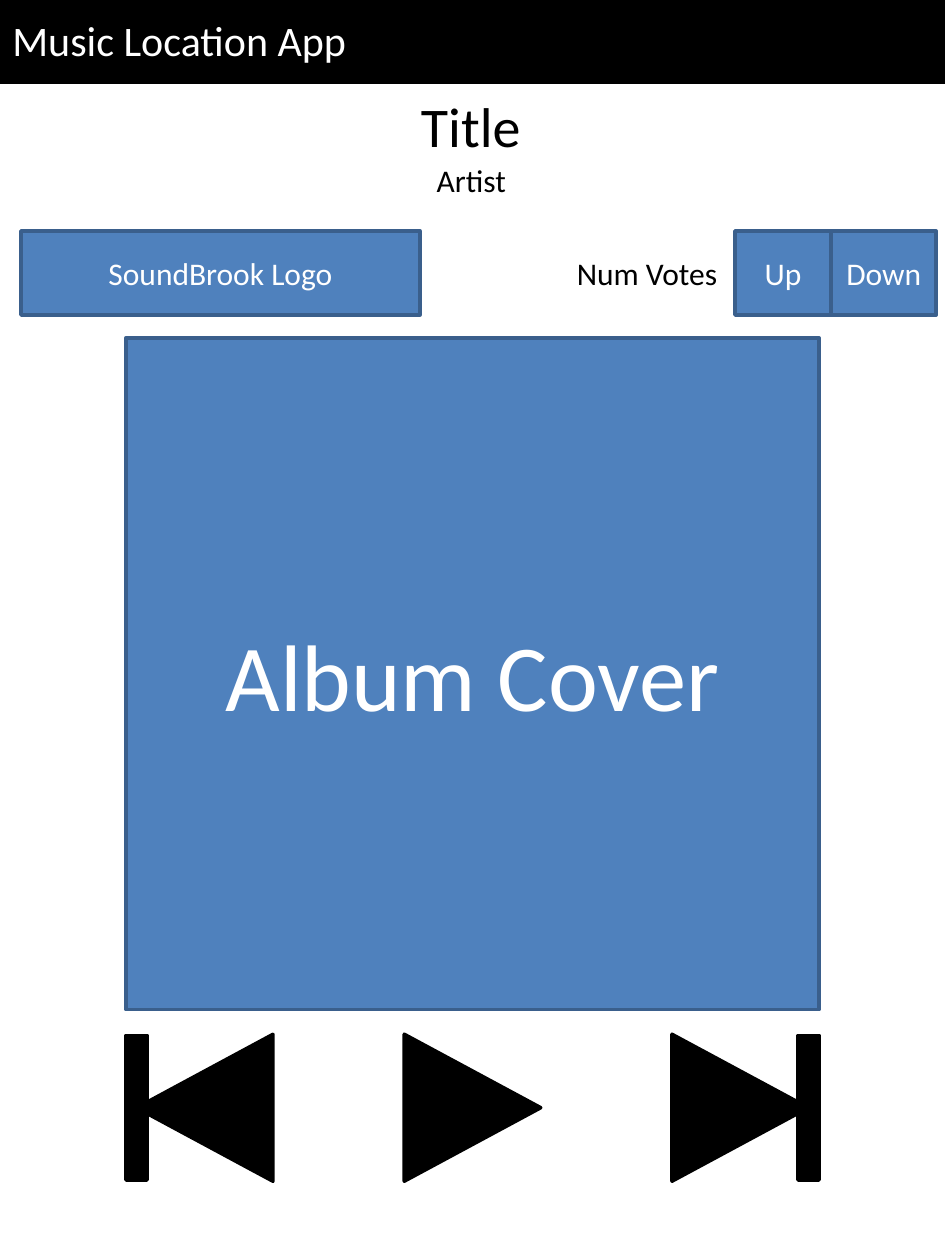
from dataclasses import dataclass

from pptx import Presentation
from pptx.dml.color import RGBColor as RGB
from pptx.enum.shapes import MSO_SHAPE as SHAPE
from pptx.enum.text import MSO_ANCHOR as ANCHOR, MSO_AUTO_SIZE as AUTO, PP_ALIGN as ALIGN
from pptx.util import Pt


@dataclass(frozen=True)
class Theme:
    font: str = "Calibri"
    black: RGB = RGB(0x00, 0x00, 0x00)
    white: RGB = RGB(0xFF, 0xFF, 0xFF)
    blue: RGB = RGB(0x4F, 0x81, 0xBD)
    edge: RGB = RGB(0x3A, 0x5F, 0x8C)
    line: float = 2
    body: float = 18
    bar: float = 24
    title: float = 32
    cover: float = 54


T = Theme()
WIDTH, HEIGHT = 540, 720


def write(tf, text, size, color, align):
    p = tf.paragraphs[0]
    p.alignment = align
    r = p.add_run()
    r.text = text
    for name, value in {"name": T.font, "size": Pt(size)}.items():
        setattr(r.font, name, value)
    r.font.color.rgb = color


def add_shape(s, kind, box, fill, edge, rotation=0):
    sp = s.shapes.add_shape(kind, *map(Pt, box))
    sp.shadow.inherit = False
    sp.rotation = rotation
    sp.fill.solid()
    sp.fill.fore_color.rgb = fill
    sp.line.color.rgb = edge
    sp.line.width = Pt(T.line)
    return sp


def add_panel(s, box, text, size=T.body, fill=T.blue, edge=T.edge, align=ALIGN.CENTER):
    tf = add_shape(s, SHAPE.RECTANGLE, box, fill, edge).text_frame
    for name, value in {"word_wrap": True, "vertical_anchor": ANCHOR.MIDDLE}.items():
        setattr(tf, name, value)
    write(tf, text, size, T.white, align)


def add_label(s, box, text, size=T.body):
    tf = s.shapes.add_textbox(*map(Pt, box)).text_frame
    for name, value in {"word_wrap": False, "auto_size": AUTO.SHAPE_TO_FIT_TEXT}.items():
        setattr(tf, name, value)
    write(tf, text, size, T.black, ALIGN.LEFT)


def header(s, box):
    add_panel(s, box, "Music Location App", T.bar, T.black, T.black, ALIGN.LEFT)


def track_heading(s, box):
    x, y, w, h = box
    # Title above artist, both centred in the box
    title_w, title_h, artist_w, artist_h = 72, 46, 55, 29
    add_label(s, (x + (w - title_w) / 2 - 0.5, y, title_w, title_h), "Title", T.title)
    add_label(s, (x + (w - artist_w) / 2, y + h - artist_h, artist_w, artist_h), "Artist")


def votes(s, box):
    x, y, w, h = box
    label_w, label_h, up_w, down_w = 96, 29, 55, 60
    # Buttons sit flush right, with the count to their left
    add_panel(s, (x + w - down_w, y, down_w, h), "Down")
    add_panel(s, (x + w - down_w - up_w, y, up_w, h), "Up")
    add_label(s, (x, y + (h - label_h) / 2, label_w, label_h), "Num Votes")


def transport(s, box):
    x, y, w, h = box
    center_x, center_y = x + w / 2, y + h / 2

    def add_part(kind, offset, size, rotation):
        part_w, part_h = size
        part = (center_x + offset - part_w / 2, center_y - part_h / 2, part_w, part_h)
        add_shape(s, kind, part, T.black, T.black, rotation)

    # Play, next and previous arrows
    arrow_gap, arrow_size = 153, (84, 78)
    for step, rotation in ((0, 90), (1, 90), (-1, 270)):
        add_part(SHAPE.ISOSCELES_TRIANGLE, step * arrow_gap, arrow_size, rotation)
    # Stop bars on the outer ends
    bar_gap, bar_size = 192, (112.5, 51)
    for side in (-1, 1):
        add_part(SHAPE.MATH_MINUS, side * bar_gap, bar_size, 90)


def main():
    prs = Presentation()
    prs.slide_width, prs.slide_height = Pt(WIDTH), Pt(HEIGHT)
    s = prs.slides.add_slide(prs.slide_layouts[6])

    row_y, row_h = 132, 48
    add_panel(s, (72, 193, 396, 384), "Album Cover", T.cover)
    add_panel(s, (12, row_y, 228, row_h), "SoundBrook Logo")
    transport(s, (72, 591, 396, 84))
    header(s, (0, -1.2, WIDTH, 48))
    votes(s, (322.5, row_y, 212.5, row_h))
    track_heading(s, (0, 49, WIDTH, 68.5))

    prs.save("out.pptx")


if __name__ == "__main__":
    main()
